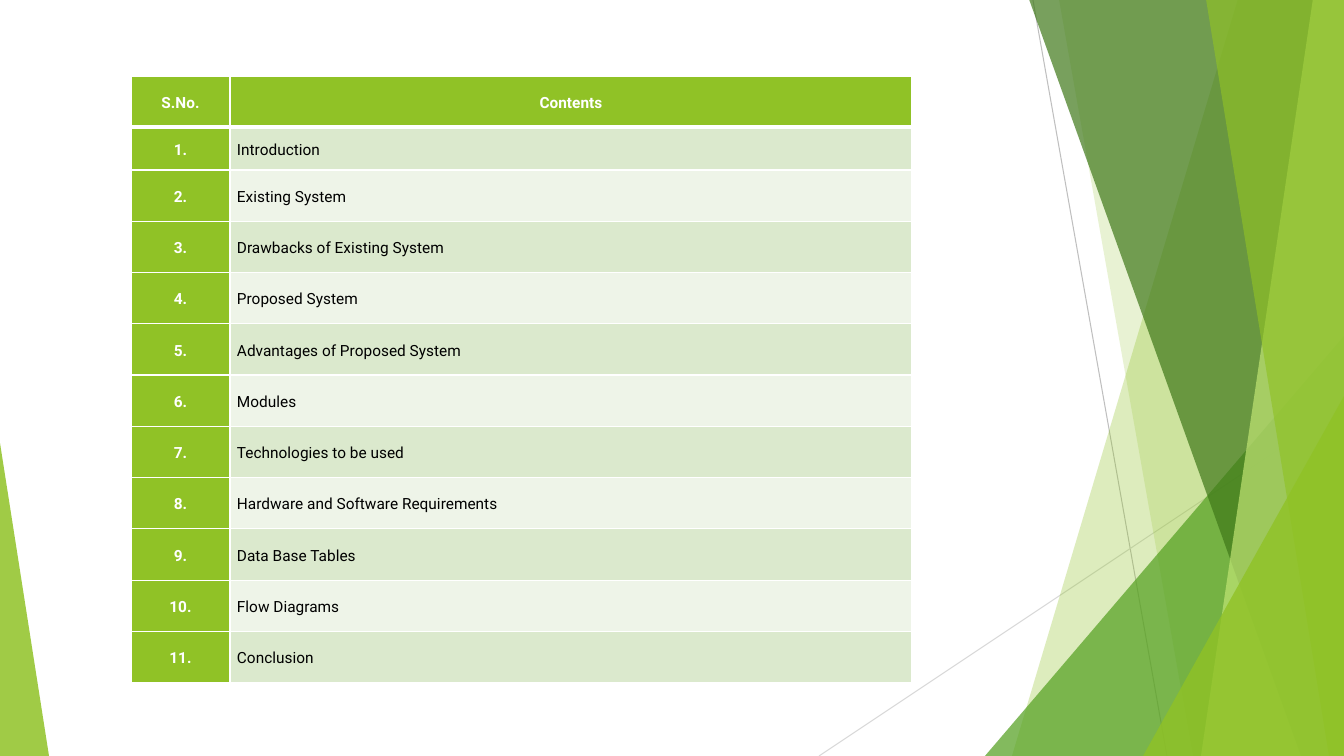
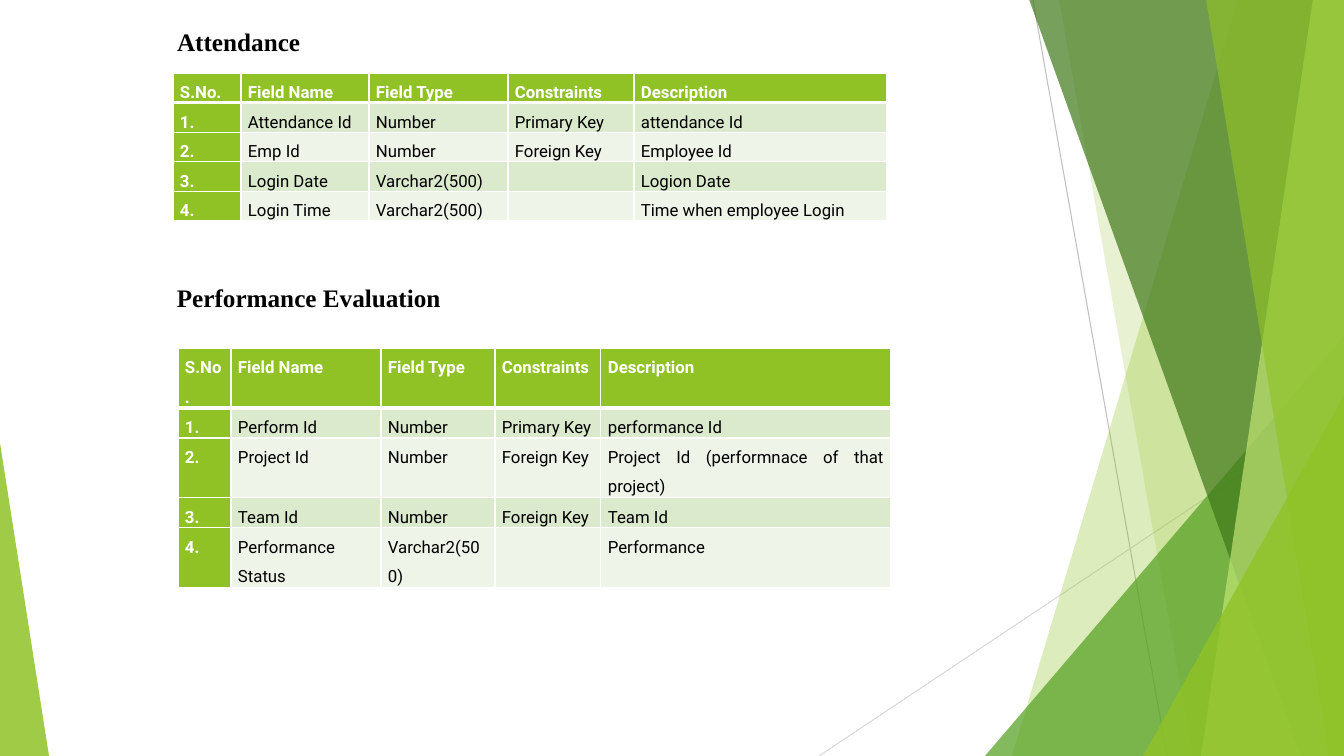
from dataclasses import dataclass

from lxml.etree import SubElement
from pptx import Presentation
from pptx.dml.color import RGBColor
from pptx.enum.shapes import MSO_CONNECTOR as Connector, MSO_SHAPE as Shape
from pptx.enum.text import MSO_ANCHOR as Anchor, PP_ALIGN as Align
from pptx.oxml import parse_xml
from pptx.oxml.ns import nsdecls, qn
from pptx.util import Emu, Pt

WIDTH, HEIGHT = 1344, 756
SCALE = 12192000 / WIDTH


@dataclass(frozen=True)
class Theme:
    """Colours, fonts and type sizes of the deck."""
    accent: str = "90C226"
    leaf: str = "54A021"
    forest: str = "3F7819"
    lime: str = "C0E474"
    odd_row: str = "DBE9CD"
    even_row: str = "EEF4E8"
    white: str = "FFFFFF"
    black: str = "000000"
    dark_rule: str = "BFBFBF"
    light_rule: str = "D9D9D9"
    table_font: str = "Roboto"
    heading_font: str = "Times New Roman"
    heading_size: int = 18
    contents_size: int = 11
    fields_size: int = 12


theme = Theme()


def px(length):
    """Turn pixels into EMU."""
    return Emu(round(length * SCALE))


def add_grid(page, left, top, widths, heights, rows, size, spacing, anchor, aligns):
    """Add a numbered table with a header row; aligns are for header, number and text."""
    frame = page.shapes.add_table(len(rows), len(widths), px(left), px(top),
                                  px(sum(widths)), px(sum(heights)))
    table = frame.table
    for column, width in zip(table.columns, widths):
        column.width = px(width)
    for r, (texts, height) in enumerate(zip(rows, heights)):
        table.rows[r].height = px(height)
        numbered = ["S.No." if r == 0 else f"{r}.", *texts]
        for c, text in enumerate(numbered):
            cell = table.cell(r, c)
            strong = r == 0 or c == 0
            band = theme.odd_row if r % 2 else theme.even_row
            cell.fill.solid()
            cell.fill.fore_color.rgb = RGBColor.from_string(theme.accent if strong else band)
            cell.margin_left = cell.margin_right = px(7)
            cell.margin_top = cell.margin_bottom = 0
            cell.vertical_anchor = anchor
            cell.text = text
            para = cell.text_frame.paragraphs[0]
            para.alignment = aligns[0 if r == 0 else 1 if c == 0 else 2]
            para.line_spacing = spacing
            para.space_after = Pt(10)
            para.font.name = theme.table_font
            para.font.size = Pt(size)
            para.font.bold = strong
            para.font.color.rgb = RGBColor.from_string(theme.white if strong else theme.black)
            borders = {"lnL": 1, "lnR": 1, "lnT": 3 if r == 1 else 1, "lnB": 3 if r == 0 else 1}
            for place, (side, points) in enumerate(borders.items()):
                cell.fill._xPr.insert(place, parse_xml(
                    f'<a:{side} {nsdecls("a")} w="{Pt(points)}"><a:solidFill>'
                    f'<a:srgbClr val="{theme.white}"/></a:solidFill></a:{side}>'))


deck = Presentation()
deck.slide_width, deck.slide_height = px(WIDTH), px(HEIGHT)
contents_page = deck.slides.add_slide(deck.slide_layouts[6])
fields_page = deck.slides.add_slide(deck.slide_layouts[5])

# Shared decoration: drawn once, then moved to the slide master
shapes = contents_page.shapes
decoration = []
rules = [
    (1033, 0, 1167, HEIGHT, theme.dark_rule),
    (WIDTH, 406, 819, HEIGHT, theme.light_rule),
]
for x1, y1, x2, y2, colour in rules:
    rule = shapes.add_connector(Connector.STRAIGHT, px(x1), px(y1), px(x2), px(y2))
    rule.line.color.rgb = RGBColor.from_string(colour)
    rule.line.width = Pt(0.75)
    SubElement(rule.element.spPr, qn("a:effectLst"))
    decoration.append(rule)

# Bands: top-left x, bottom-left x. Triangles: left, top, right, apex.
facets = [
    ((1238, 1012), theme.accent, 30),
    ((1059, 1193), theme.accent, 20),
    ((985, 336, WIDTH, 1), theme.leaf, 72),
    ((1029, 1301), theme.forest, 70),
    ((1313, 1201), theme.lime, 70),
    ((1206, 1329), theme.accent, 65),
    ((1143, 396, WIDTH, 1), theme.accent, 80),
    ((0, 443, 49, 0), theme.accent, 85),
]
for outline, colour, opacity in facets:
    if len(outline) == 2:
        top_x, bottom_x = outline
        builder = shapes.build_freeform(top_x, -1, scale=SCALE)
        builder.add_line_segments([(WIDTH, -1), (WIDTH, HEIGHT), (bottom_x, HEIGHT)])
        facet = builder.convert_to_shape()
    else:
        left, top, right, apex = outline
        facet = shapes.add_shape(Shape.ISOSCELES_TRIANGLE, px(left), px(top),
                                 px(right - left), px(HEIGHT - top))
        facet.adjustments[0] = apex
    facet.shadow.inherit = False
    facet.line.fill.background()
    facet.fill.solid()
    facet.fill.fore_color.rgb = RGBColor.from_string(colour)
    tint = facet.element.spPr.find(qn("a:solidFill"))[0]
    SubElement(tint, qn("a:alpha"), val=str(opacity * 1000))
    decoration.append(facet)

for number, item in enumerate(decoration, start=101):
    item.element.xpath("./*/p:cNvPr")[0].set("id", str(number))
    deck.slide_master.shapes.element.append(item.element)

# Contents
topics = [
    "Introduction", "Existing System", "Drawbacks of Existing System", "Proposed System",
    "Advantages of Proposed System", "Modules", "Technologies to be used",
    "Hardware and Software Requirements", "Data Base Tables", "Flow Diagrams", "Conclusion",
]
add_grid(contents_page, 131, 76, [99, 682], [51, 43] + [513 / 10] * 10,
         [[topic] for topic in ["Contents", *topics]],
         theme.contents_size, 1.15, Anchor.MIDDLE, (Align.CENTER, Align.CENTER, Align.LEFT))

# Database tables
field_header = ["Field Name", "Field Type", "Constraints", "Description"]
attendance = [
    ["Attendance Id", "Number", "Primary Key", "attendance Id"],
    ["Emp Id", "Number", "Foreign Key", "Employee Id"],
    ["Login Date", "Varchar2(500)", "", "Logion Date"],
    ["Login Time", "Varchar2(500)", "", "Time when employee Login"],
]
performance = [
    ["Perform Id", "Number", "Primary Key", "performance Id"],
    ["Project Id", "Number", "Foreign Key", "Project Id (performnace of that project)"],
    ["Team Id", "Number", "Foreign Key", "Team Id"],
    ["Performance Status", "Varchar2(500)", "", "Performance"],
]
field_tables = [
    (173, 73, [68, 128, 139, 126, 253], [29] * 5, attendance),
    (178, 348, [53, 150, 114, 106, 290], [60, 30, 60, 30, 60], performance),
]
for left, top, widths, heights, fields in field_tables:
    add_grid(fields_page, left, top, widths, heights, [field_header, *fields],
             theme.fields_size, 1.5, Anchor.TOP, (Align.JUSTIFY,) * 3)

subheading = fields_page.shapes.add_textbox(0, 0, 0, 0)
headings = [
    (fields_page.shapes.title, "Attendance", 21, 145),
    (subheading, "Performance Evaluation", 277, 287),
]
for box, text, top, width in headings:
    box.left, box.top, box.width, box.height = px(167), px(top), px(width), px(40)
    box.text_frame.text = text
    box.text_frame.word_wrap = False
    box.text_frame.vertical_anchor = Anchor.TOP
    para = box.text_frame.paragraphs[0]
    para.alignment = Align.LEFT
    para.font.name = theme.heading_font
    para.font.size = Pt(theme.heading_size)
    para.font.bold = True
    para.font.color.rgb = RGBColor.from_string(theme.black)

deck.save("out.pptx")
